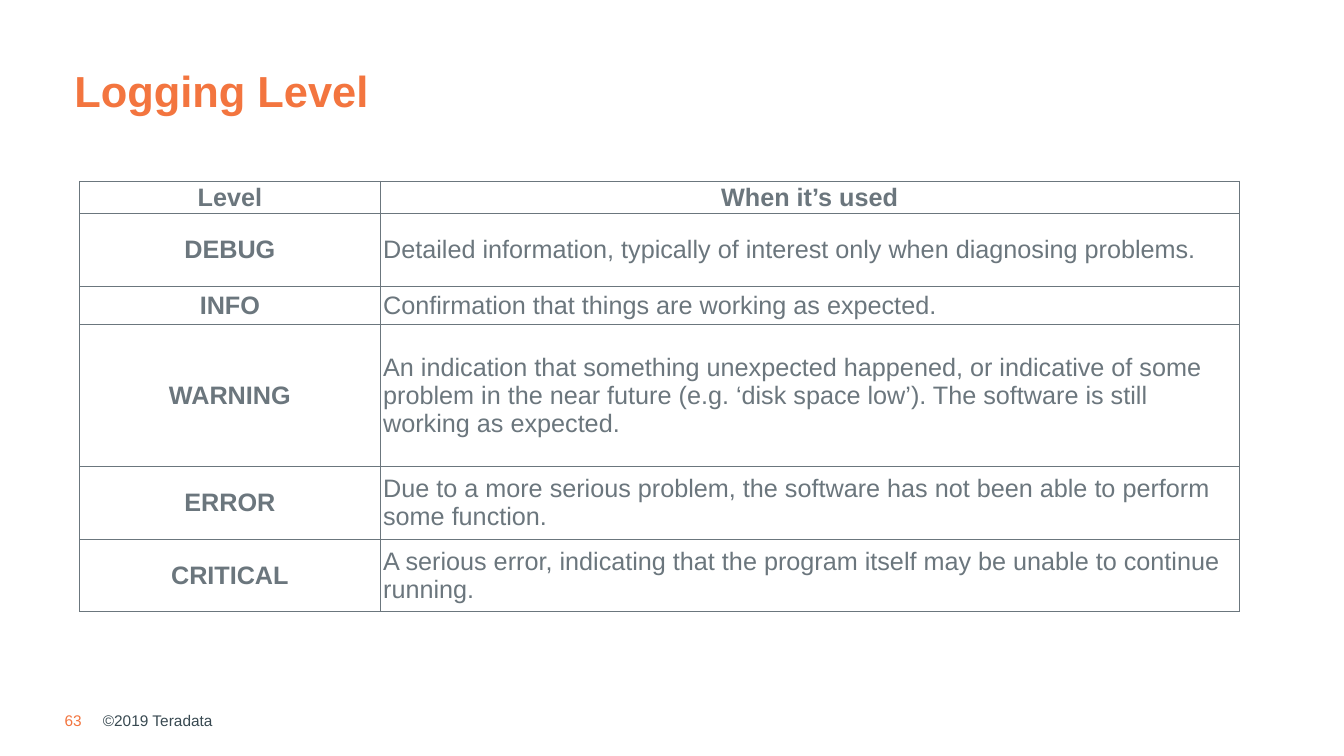
"""Build the Logging Level slide with its table of levels."""
from lxml.etree import SubElement
from pptx import Presentation
from pptx.dml.color import RGBColor
from pptx.enum.text import MSO_ANCHOR, PP_ALIGN
from pptx.oxml.ns import qn
from pptx.util import Inches, Pt

ORANGE = RGBColor(0xF3, 0x75, 0x3F)
GRAY = RGBColor(0x6B, 0x76, 0x7D)
DARK = RGBColor(0x38, 0x49, 0x51)


def write(tf, text, size, color, bold=False):
    p = tf.paragraphs[0]
    r = p.add_run()
    r.text = text
    for name, value in {"name": "Arial", "size": Pt(size), "bold": bold}.items():
        setattr(r.font, name, value)
    r.font.color.rgb = color
    return p


def add_text(box, text, size, color, bold=False, **frame):
    tf = s.shapes.add_textbox(*map(Inches, box)).text_frame
    for name, value in frame.items():
        setattr(tf, name, value)
    return write(tf, text, size, color, bold)


prs = Presentation()
prs.slide_width, prs.slide_height = Inches(13.33), Inches(7.5)
s = prs.slides.add_slide(prs.slide_layouts[6])

no_margins = {f"margin_{side}": 0 for side in ("left", "right", "top", "bottom")}
title = add_text((0.64, 0.43, 11.5, 0.78), "Logging Level", 31, ORANGE, True,
                 word_wrap=True, vertical_anchor=MSO_ANCHOR.BOTTOM)
title.line_spacing = 0.9
add_text((0.64, 7.05, 0.19, 0.19), "63", 11, ORANGE, word_wrap=False, **no_margins)
add_text((1.02, 7.05, 3, 0.19), "©2019 Teradata", 11, DARK, word_wrap=True,
         vertical_anchor=MSO_ANCHOR.MIDDLE, **no_margins)

levels = [
    (0.31, "Level", "When it’s used"),
    (0.72, "DEBUG", "Detailed information, typically of interest only when diagnosing problems."),
    (0.38, "INFO", "Confirmation that things are working as expected."),
    (1.41, "WARNING", "An indication that something unexpected happened, or indicative of some "
     "problem in the near future (e.g. ‘disk space low’). The software is still "
     "working as expected."),
    (0.72, "ERROR", "Due to a more serious problem, the software has not been able to perform "
     "some function."),
    (0.72, "CRITICAL", "A serious error, indicating that the program itself may be unable to "
     "continue running."),
]
cell_format = {
    "margin_left": Inches(0.03), "margin_right": Inches(0.03),
    "margin_top": Inches(0.01), "margin_bottom": Inches(0.01),
    "vertical_anchor": MSO_ANCHOR.MIDDLE,
}
table_height = sum(height for height, *_ in levels)
table = s.shapes.add_table(len(levels), 2, Inches(0.79), Inches(1.8),
                           Inches(11.5), Inches(table_height)).table
table.horz_banding = False
for column, width in zip(table.columns, (2.98, 8.52)):
    column.width = Inches(width)

for i, (height, *texts) in enumerate(levels):
    table.rows[i].height = Inches(height)
    for j, text in enumerate(texts):
        cell = table.cell(i, j)
        for name, value in cell_format.items():
            setattr(cell, name, value)
        heading = i == 0 or j == 0
        p = write(cell.text_frame, text, 18, GRAY, heading)
        p.alignment = PP_ALIGN.CENTER if heading else PP_ALIGN.LEFT
        tcPr = cell._tc.get_or_add_tcPr()
        for side in "LRTB":
            ln = SubElement(tcPr, qn(f"a:ln{side}"), w=str(Pt(1)))
            SubElement(SubElement(ln, qn("a:solidFill")), qn("a:srgbClr"), val=str(GRAY))
        cell.fill.background()

prs.save("out.pptx")
